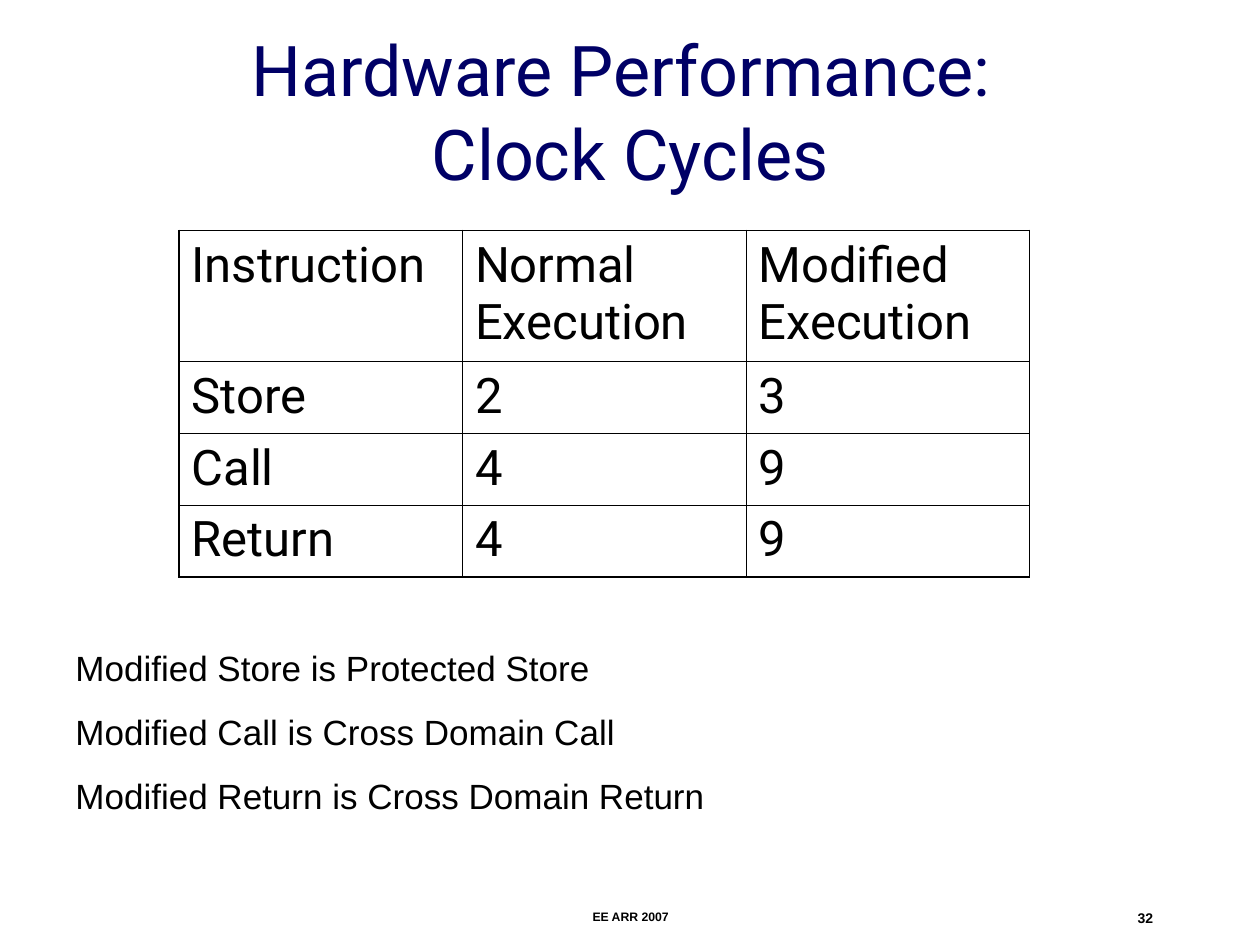
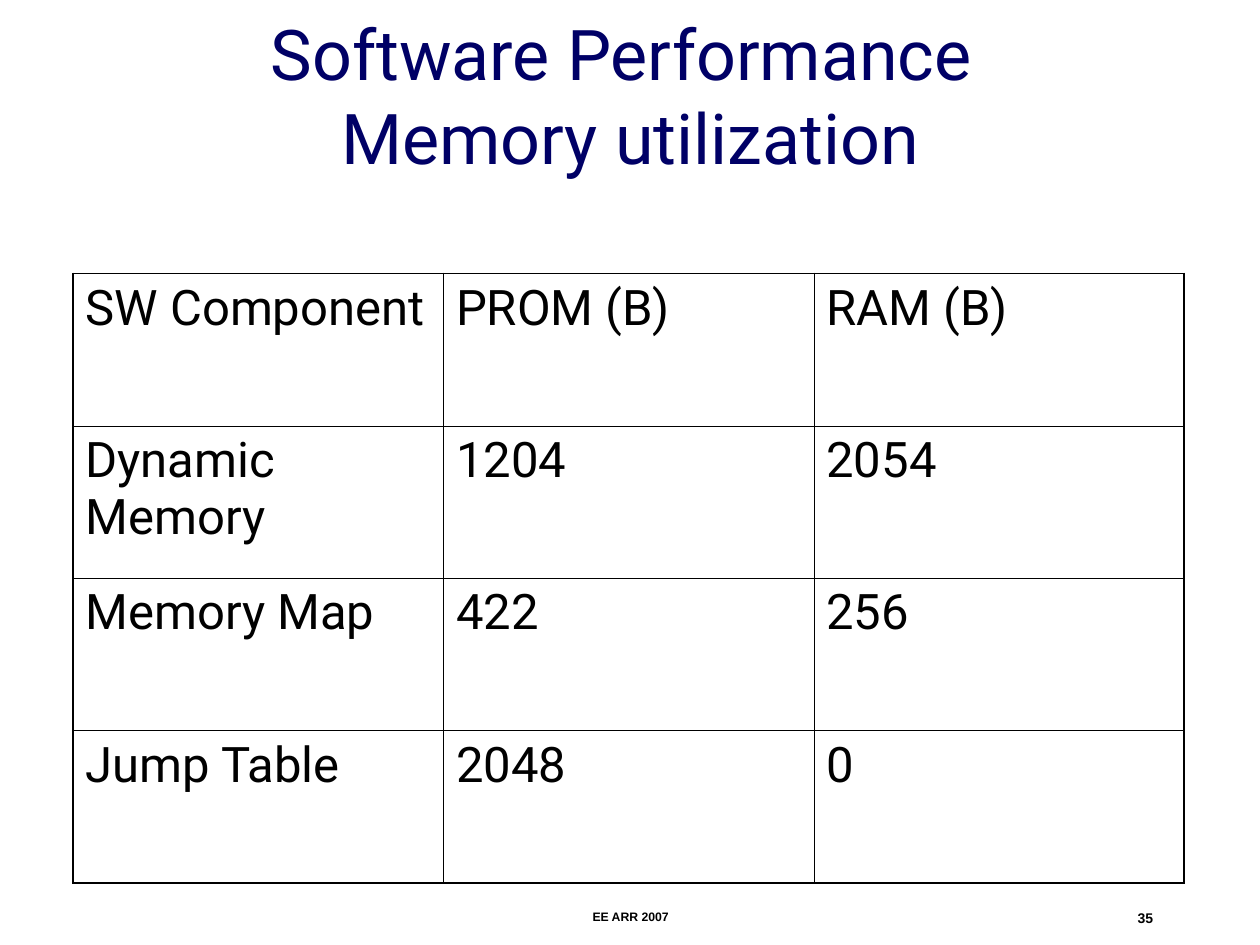
from lxml import etree
from pptx import Presentation
from pptx import util as u
from pptx.dml.color import RGBColor
from pptx.enum import text
from pptx.oxml import ns

HUES = {"title": "000066", "ink": "000000", "paper": "FFFFFF"}
HEAD, BODY = "Roboto", "Arial"
THICK, THIN = 1.08, 0.45
MARK = "EE ARR 2007"

PAGES = [
    {
        "title": ["Hardware Performance: ", "Clock Cycles"],
        "tall": 1.25,
        "rows": [
            ("Instruction", "Normal Execution", "Modified Execution"),
            ("Store", "2", "3"),
            ("Call", "4", "9"),
            ("Return", "4", "9"),
        ],
        "spot": (1.42, 1.83),
        "wide": 2.25,
        "highs": [1.04, 0.57, 0.57, 0.57],
        "notes": [
            "Modified Store is Protected Store",
            "Modified Call is Cross Domain Call",
            "Modified Return is Cross Domain Return",
        ],
        "page": "32",
    },
    {
        "title": ["Software Performance ", "Memory utilization"],
        "tall": 1,
        "rows": [
            ("SW Component", "PROM (B)", "RAM (B)"),
            ("Dynamic Memory", "1204", "2054"),
            ("Memory Map", "422", "256"),
            ("Jump Table", "2048", "0"),
        ],
        "spot": (0.58, 2.17),
        "wide": 2.94,
        "highs": [1.21] * 4,
        "notes": [],
        "page": "35",
    },
]


def add_run(para, words, size, face, hue="ink", bold=False):
    run = para.add_run()
    run.text = words
    font = run.font
    font.size, font.name, font.bold = u.Pt(size), face, bold
    font.color.rgb = RGBColor.from_string(HUES[hue])


def add_box(slide, left, top, width, height, align=text.PP_ALIGN.LEFT):
    box = slide.shapes.add_textbox(*map(u.Inches, (left, top, width, height)))
    frame = box.text_frame
    frame.word_wrap = True
    frame.paragraphs[0].alignment = align
    return frame


def add_title(slide, lines, tall):
    frame = add_box(slide, 0.75, 0.25, 8.5, tall, text.PP_ALIGN.CENTER)
    frame.vertical_anchor = text.MSO_ANCHOR.MIDDLE
    para = frame.paragraphs[0]
    for i, line in enumerate(lines):
        if i:
            para.add_line_break()
        add_run(para, line, 40, HEAD, "title")


def set_edge(cell, side, width):
    props = cell._tc.get_or_add_tcPr()
    line = etree.SubElement(props, ns.qn("a:" + side), w=str(u.Pt(width)))
    fill = etree.SubElement(line, ns.qn("a:solidFill"))
    etree.SubElement(fill, ns.qn("a:srgbClr"), val=HUES["ink"])


def add_grid(slide, rows, spot, wide, highs):
    last, end = len(rows) - 1, len(rows[0]) - 1
    size = (wide * (end + 1), sum(highs))
    grid = slide.shapes.add_table(
        last + 1, end + 1, *map(u.Inches, spot + size)).table
    grid.first_row = grid.horz_banding = False
    for col in grid.columns:
        col.width = u.Inches(wide)
    for r, row in enumerate(rows):
        grid.rows[r].height = u.Inches(highs[r])
        for c, words in enumerate(row):
            cell = grid.cell(r, c)
            add_run(cell.text_frame.paragraphs[0], words, 28, HEAD)
            outer = {"lnL": c == 0, "lnR": c == end,
                     "lnT": r == 0, "lnB": r == last}
            for side, rim in outer.items():
                set_edge(cell, side, THICK if rim else THIN)
            cell.fill.solid()
            cell.fill.fore_color.rgb = RGBColor.from_string(HUES["paper"])


def add_notes(slide, notes):
    frame = add_box(slide, 0.5, 5.08, 8.58, 1.45)
    for i, note in enumerate(notes):
        para = frame.add_paragraph() if i else frame.paragraphs[0]
        if i:
            para.space_before = u.Pt(12.5)
        add_run(para, note, 20, BODY)


def add_foot(slide, page):
    mid = add_box(slide, 3.42, 7.17, 3.17, 0.17, text.PP_ALIGN.CENTER)
    add_run(mid.paragraphs[0], MARK, 7, BODY, bold=True)
    side = add_box(slide, 7.17, 7.17, 2.08, 0.17, text.PP_ALIGN.RIGHT)
    add_run(side.paragraphs[0], page, 8, BODY, bold=True)


def main():
    deck = Presentation()
    deck.slide_width, deck.slide_height = u.Inches(10), u.Inches(7.5)
    for page in PAGES:
        slide = deck.slides.add_slide(deck.slide_layouts[6])
        add_title(slide, page["title"], page["tall"])
        add_grid(slide, page["rows"], page["spot"], page["wide"], page["highs"])
        if page["notes"]:
            add_notes(slide, page["notes"])
        add_foot(slide, page["page"])
    deck.save("out.pptx")


if __name__ == "__main__":
    main()
